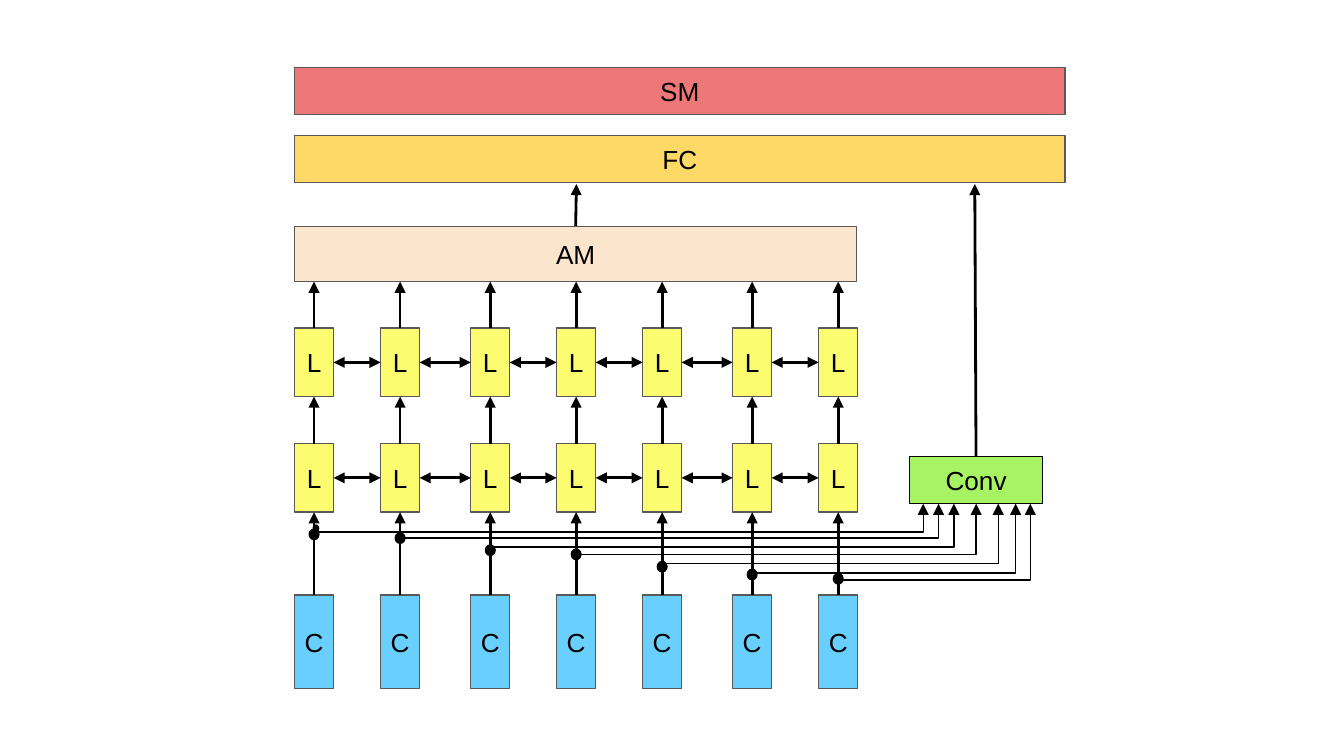
from pptx import Presentation
from pptx.dml.color import RGBColor
from pptx.enum.shapes import MSO_CONNECTOR, MSO_SHAPE
from pptx.enum.text import MSO_ANCHOR, PP_ALIGN
from pptx.oxml.ns import qn
from pptx.util import Pt
from lxml.etree import SubElement

BLACK = RGBColor(0x00, 0x00, 0x00)
GRAY = RGBColor(0x59, 0x59, 0x59)
RED = RGBColor(0xEE, 0x78, 0x78)
GOLD = RGBColor(0xFF, 0xD9, 0x66)
PEACH = RGBColor(0xFC, 0xE5, 0xCD)
YELLOW = RGBColor(0xFC, 0xFC, 0x71)
BLUE = RGBColor(0x69, 0xCF, 0xFF)
GREEN = RGBColor(0xA7, 0xF3, 0x63)

FRAME = {"margin_left": 0, "margin_right": 0, "margin_top": 0,
         "margin_bottom": 0, "word_wrap": True,
         "vertical_anchor": MSO_ANCHOR.MIDDLE}
FONT = {"name": "Arial", "size": Pt(14)}

# Column offsets from the left edge of the grid, and the cell width
STEPS = (0, 46.1, 94.4, 140.4, 186.5, 234.7, 280.8)
CELL = 20.9
# For each tap: dot height, wire height, port offset (from the Conv corner)
TAPS = ((41.6, 40.3, 7.4), (43.6, 43.6, 15.6), (50.1, 48.3, 23.8),
        (52.3, 52.5, 35.8), (58.9, 57.4, 47.6), (63.1, 62.3, 56.9),
        (65.4, 66.2, 64.8))


def apply(item, style):
    for key, value in style.items():
        setattr(item, key, value)


def add_box(slide, box, fill, text="", line=GRAY, kind=MSO_SHAPE.RECTANGLE):
    shape = slide.shapes.add_shape(kind, *map(Pt, box))
    shape.shadow.inherit = False
    shape.fill.solid()
    shape.fill.fore_color.rgb = fill
    shape.line.color.rgb = line
    shape.line.width = Pt(0.75)
    if text:
        frame = shape.text_frame
        apply(frame, FRAME)
        para = frame.paragraphs[0]
        para.text = text
        para.alignment = PP_ALIGN.CENTER
        apply(para.font, FONT)
        para.font.color.rgb = BLACK
    return shape


def add_dot(slide, x, y, wide, high):
    add_box(slide, (x - wide / 2, y - high / 2, wide, high), BLACK,
            line=BLACK, kind=MSO_SHAPE.OVAL)


def add_arrow(slide, start, end, width=1.5, ends=("tailEnd",),
              kind=MSO_CONNECTOR.STRAIGHT):
    """Each end is an (x, y) point or a (shape, side) joint."""
    free = [(0, 0) if hasattr(p[0], "shape_id") else p for p in (start, end)]
    wire = slide.shapes.add_connector(kind, *map(Pt, free[0] + free[1]))
    if hasattr(start[0], "shape_id"):
        wire.begin_connect(*start)
    if hasattr(end[0], "shape_id"):
        wire.end_connect(*end)
    wire.line.color.rgb = BLACK
    wire.line.width = Pt(width)
    line = wire.line._get_or_add_ln()
    for name in ends:
        SubElement(line, qn("a:" + name), type="triangle")
    SubElement(wire._element.spPr, qn("a:effectLst"))
    return wire


def add_row(slide, box, fill, text):
    """A row of seven cells, one on each column."""
    left, top, wide, high = box
    return [add_box(slide, (left + step, top, wide, high), fill, text)
            for step in STEPS]


def add_grid(slide, box):
    """Three rows of cells below the AM bar, with their arrows."""
    left, top, wide, high = box
    add_box(slide, (left, top, wide, 29.7), PEACH, "AM")
    upper = add_row(slide, (left, top + 54.6, CELL, 36.7), YELLOW, "L")
    lower = add_row(slide, (left, top + 116.5, CELL, 36.7), YELLOW, "L")
    base = add_row(slide, (left, top + high - 50.2, CELL, 50.2), BLUE, "C")

    # Links between neighbours
    for row in (upper, lower):
        for one, two in zip(row, row[1:]):
            add_arrow(slide, (one, 3), (two, 1), ends=("headEnd", "tailEnd"))

    # Links up each column
    for step, high_cell, low_cell, base_cell in zip(STEPS, upper, lower, base):
        add_arrow(slide, (base_cell, 0), (low_cell, 2))
        add_arrow(slide, (low_cell, 0), (high_cell, 2))
        add_arrow(slide, (high_cell, 0), (left + step + CELL / 2, top + 29.7))


def add_conv(slide, box, grid):
    """The Conv box and the wires that tap each column."""
    left, top, wide, high = box
    conv = add_box(slide, box, GREEN, "Conv", line=BLACK)
    for step, (dot, bend, port) in zip(STEPS, TAPS):
        x = grid + step + CELL / 2
        wire = add_arrow(slide, (x, top + bend), (left + port, top + high),
                         width=0.75, kind=MSO_CONNECTOR.ELBOW)
        # Turn at the far end, so that the wire runs flat and then up
        guides = wire._element.spPr.find(qn("a:prstGeom")).find(qn("a:avLst"))
        SubElement(guides, qn("a:gd"), name="adj1", fmla="val 100000")
        add_dot(slide, x, top + dot, 5.2, 5.6)
    add_dot(slide, grid + CELL / 2 + 1, top + 38.4, 2.9, 3.6)
    return conv


def add_head(slide, box):
    """The SM and FC bars."""
    left, top, wide, high = box
    bar = 25.2
    add_box(slide, (left, top, wide, bar), RED, "SM")
    add_box(slide, (left, top + high - bar, wide, bar), GOLD, "FC")


def main():
    deck = Presentation()
    deck.slide_width, deck.slide_height = Pt(720), Pt(405)
    slide = deck.slides.add_slide(deck.slide_layouts[6])

    left = 157.8
    add_head(slide, (left, 36.2, 412.8, 61.6))
    add_grid(slide, (left, 121.2, 301.2, 247.8))
    conv = add_conv(slide, (487.2, 244.7, 71.4, 25.2), left)

    # Arrows into the FC bar
    add_arrow(slide, (left + 150.6, 121.2), (308.8, 98.6))
    add_arrow(slide, (conv, 0), (522.2, 98.6))
    deck.save("out.pptx")


if __name__ == "__main__":
    main()
